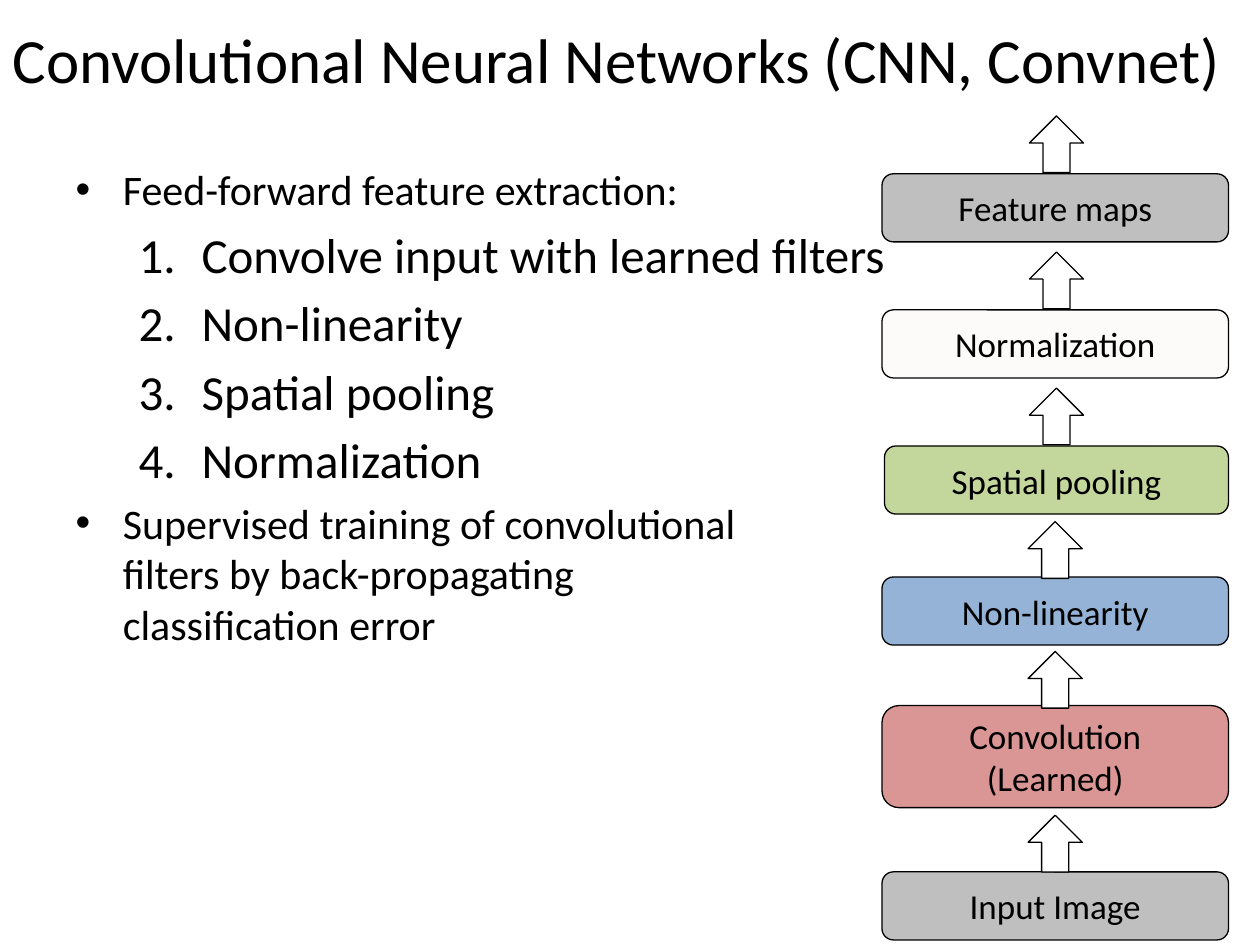
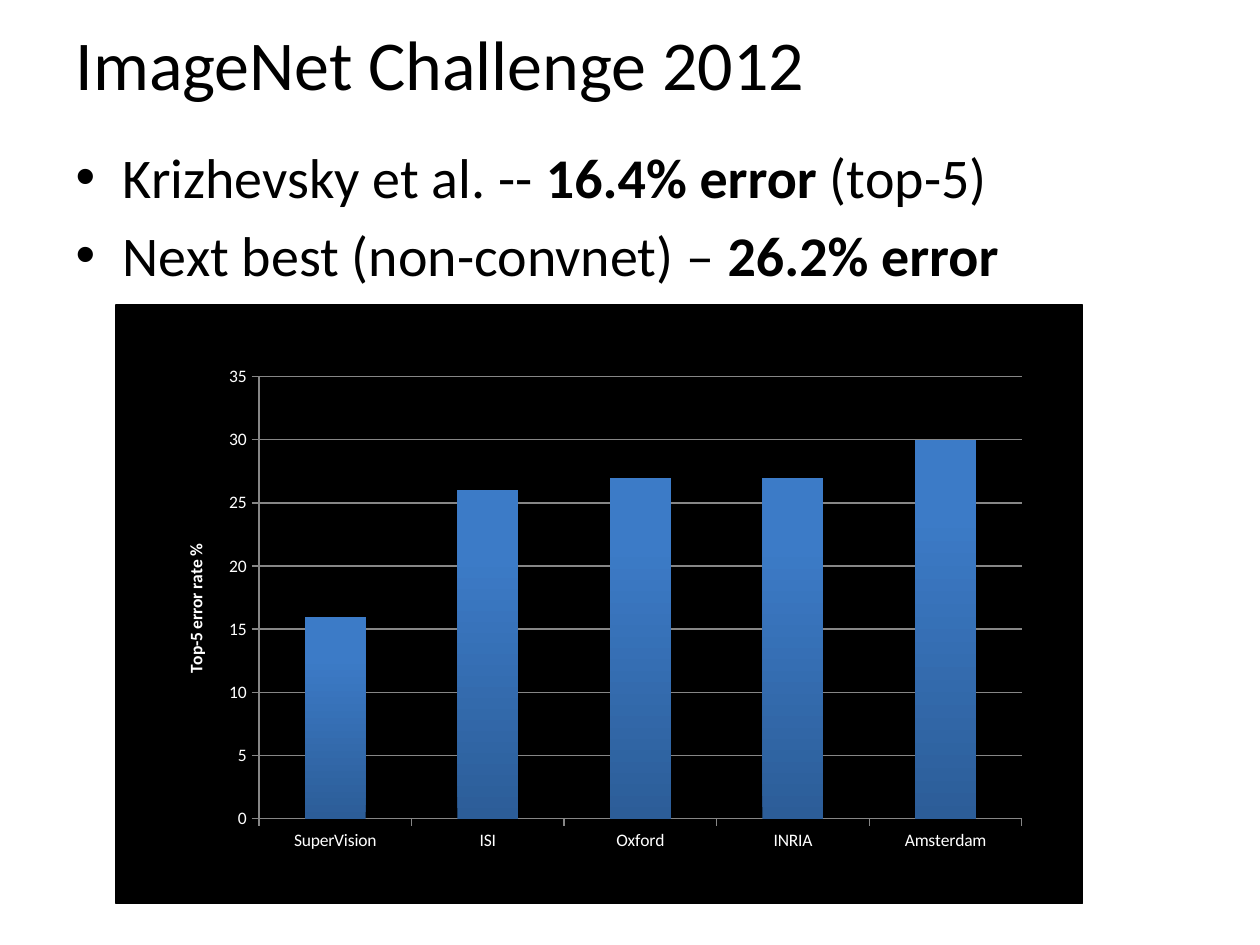
from lxml import etree
from pptx import Presentation
from pptx.chart.data import CategoryChartData
from pptx.dml.color import RGBColor
from pptx.enum.chart import XL_CHART_TYPE as ChartType, XL_TICK_MARK as Tick
from pptx.enum.shapes import MSO_SHAPE as Shape
from pptx.enum.text import MSO_ANCHOR as Anchor, MSO_AUTO_SIZE as AutoSize, PP_ALIGN as Align
from pptx.oxml.ns import qn
from pptx.util import Inches, Pt

# Shared look
FONT = "Calibri"
BLACK = RGBColor(0x00, 0x00, 0x00)
WHITE = RGBColor(0xFF, 0xFF, 0xFF)
GREY = RGBColor(0xBF, 0xBF, 0xBF)
CREAM = RGBColor(0xFC, 0xFB, 0xF9)
GREEN = RGBColor(0xC3, 0xD6, 0x9B)
BLUE = RGBColor(0x95, 0xB3, 0xD7)
RED = RGBColor(0xD9, 0x96, 0x94)
GRID_GREY = RGBColor(0x86, 0x86, 0x86)
BAR_DARK = RGBColor(0x2C, 0x5D, 0x98)
BAR_LIGHT = RGBColor(0x3C, 0x7B, 0xC7)

# Pipeline column
BOX_RIGHT = 9.75
ARROW_W, ARROW_H = 0.43, 0.45
STAGES = [  # label, box top, box width, box height, fill, arrow left, arrow top
    ("Feature maps", 1.38, 2.75, 0.54, GREY, 8.17, 0.92),
    ("Normalization", 2.46, 2.75, 0.54, CREAM, 8.17, 2),
    ("Spatial pooling", 3.54, 2.73, 0.54, GREEN, 8.17, 3.08),
    ("Non-linearity", 4.58, 2.75, 0.54, BLUE, 8.16, 4.14),
    ("Convolution (Learned)", 5.6, 2.75, 0.81, RED, 8.16, 5.17),
    ("Input Image", 6.92, 2.75, 0.54, GREY, 8.16, 6.47),
]
ERROR_RATES = {"SuperVision": 16, "ISI": 26, "Oxford": 27, "INRIA": 27, "Amsterdam": 30}


def set_font(font, size, color=BLACK, bold=False):
    style = {"name": FONT, "size": Pt(size), "bold": bold}
    for name, value in style.items():
        setattr(font, name, value)
    font.color.rgb = color


def place(sp, box):
    for name, value in zip(("left", "top", "width", "height"), box):
        setattr(sp, name, Inches(value))


def add_titled_slide(prs, title, size, box):
    s = prs.slides.add_slide(prs.slide_layouts[1])
    sp = s.shapes.title
    place(sp, box)
    tf = sp.text_frame
    for name, value in {"vertical_anchor": Anchor.MIDDLE, "auto_size": AutoSize.NONE}.items():
        setattr(tf, name, value)
    p = tf.paragraphs[0]
    p.alignment = Align.LEFT
    add_run(p, title, size)
    return s


def add_run(p, text, size, bold=False):
    # Line breaks stay inside the paragraph
    for i, line in enumerate(text.split("\n")):
        if i:
            p.add_line_break()
        r = p.add_run()
        r.text = line
        set_font(r.font, size, bold=bold)


def number_paragraph(p):
    p.level = 1
    pPr = p._p.get_or_add_pPr()
    pPr.set("marL", str(Inches(1)))
    pPr.set("indent", str(-Inches(0.5)))
    etree.SubElement(pPr, qn("a:buFont"), typeface="+mj-lt")
    etree.SubElement(pPr, qn("a:buAutoNum"), type="arabicPeriod")


def fill_body(s, box, items):
    """Each item is (size, numbered, [(text, bold), ...])."""
    sp = s.placeholders[1]
    place(sp, box)
    tf = sp.text_frame
    tf.auto_size = AutoSize.NONE
    for i, (size, numbered, runs) in enumerate(items):
        p = tf.add_paragraph() if i else tf.paragraphs[0]
        p.space_before = Pt(0.2 * size if i else 0)
        if numbered:
            number_paragraph(p)
        for text, bold in runs:
            add_run(p, text, size, bold)


def add_outlined(s, kind, box, fill, label=None):
    sp = s.shapes.add_shape(kind, *map(Inches, box))
    sp.shadow.inherit = False
    sp.fill.solid()
    sp.fill.fore_color.rgb = fill
    sp.line.color.rgb = BLACK
    sp.line.width = Pt(0.75)
    if label:
        tf = sp.text_frame
        tf.word_wrap = True
        tf.vertical_anchor = Anchor.MIDDLE
        p = tf.paragraphs[0]
        p.alignment = Align.CENTER
        add_run(p, label, 20)


def add_pipeline(s):
    for label, top, width, height, fill, arrow_left, arrow_top in STAGES:
        add_outlined(s, Shape.ROUNDED_RECTANGLE, (BOX_RIGHT - width, top, width, height), fill, label)
        add_outlined(s, Shape.UP_ARROW, (arrow_left, arrow_top, ARROW_W, ARROW_H), WHITE)


def set_plot_layout(chart, **shares):
    plot_area = chart._chartSpace.chart.plotArea
    for old in plot_area.findall(qn("c:layout")):
        plot_area.remove(old)
    layout = etree.Element(qn("c:layout"))
    plot_area.insert(0, layout)
    manual = etree.SubElement(layout, qn("c:manualLayout"))
    values = {"layoutTarget": "inner", "xMode": "edge", "yMode": "edge", **shares}
    for tag, value in values.items():
        etree.SubElement(manual, qn(f"c:{tag}"), val=str(value))


def style_axis(axis):
    axis.major_tick_mark = Tick.OUTSIDE
    axis.minor_tick_mark = Tick.NONE
    axis.format.line.color.rgb = GRID_GREY
    set_font(axis.tick_labels.font, 10, WHITE)


def add_error_chart(s, box):
    data = CategoryChartData()
    data.categories = list(ERROR_RATES)
    data.add_series("Series 1", list(ERROR_RATES.values()))
    chart = s.shapes.add_chart(ChartType.COLUMN_CLUSTERED, *map(Inches, box), data).chart
    chart.has_legend = chart.has_title = False
    set_font(chart.font, 10)
    set_plot_layout(chart, x=0.115, y=0.04, w=0.865, h=0.877)

    # Axes
    style_axis(chart.category_axis)
    axis = chart.value_axis
    style_axis(axis)
    for name, value in {"minimum_scale": 0, "maximum_scale": 35, "major_unit": 5}.items():
        setattr(axis, name, value)
    axis.major_gridlines.format.line.color.rgb = GRID_GREY
    p = axis.axis_title.text_frame.paragraphs[0]
    r = p.add_run()
    r.text = "Top-5 error rate %"
    set_font(r.font, 10, WHITE, bold=True)

    # Bars, darker towards the bottom
    plot = chart.plots[0]
    plot.gap_width = 150
    plot.vary_by_categories = False
    fill = plot.series[0].format.fill
    fill.gradient()
    fill.gradient_angle = 90
    for stop, color, position in zip(fill.gradient_stops, (BAR_DARK, BAR_LIGHT), (0, 0.8)):
        stop.color.rgb = color
        stop.position = position


def build_cnn_slide(prs):
    s = add_titled_slide(prs, "Convolutional Neural Networks (CNN, Convnet)", 36, (0, 0, 10.25, 0.92))
    steps = ["Convolve input with learned filters", "Non-linearity", "Spatial pooling", "Normalization"]
    training = "Supervised training of convolutional \nfilters by back-propagating \nclassification error"
    fill_body(s, (0.5, 1.25, 9, 4.95), [
        (24, False, [("Feed-forward feature extraction:", False)]),
        *[(28, True, [(step, False)]) for step in steps],
        (24, False, [(training, False)]),
    ])
    add_pipeline(s)


def build_challenge_slide(prs):
    s = add_titled_slide(prs, "ImageNet Challenge 2012", 40, (0.5, 0, 9, 1))
    fill_body(s, (0.5, 1.08, 9, 5.62), [
        (32, False, [("Krizhevsky et al. -- ", False), ("16.4% error ", True), ("(top-5)", False)]),
        (32, False, [("Next best (non-convnet) – ", False), ("26.2% error", True)]),
    ])
    add_outlined(s, Shape.RECTANGLE, (0.92, 2.42, 7.67, 4.75), BLACK)
    add_error_chart(s, (1.25, 2.83, 7, 4))


def main():
    prs = Presentation()
    prs.slide_width, prs.slide_height = Inches(10), Inches(7.5)
    build_cnn_slide(prs)
    build_challenge_slide(prs)
    prs.save("out.pptx")


if __name__ == "__main__":
    main()
